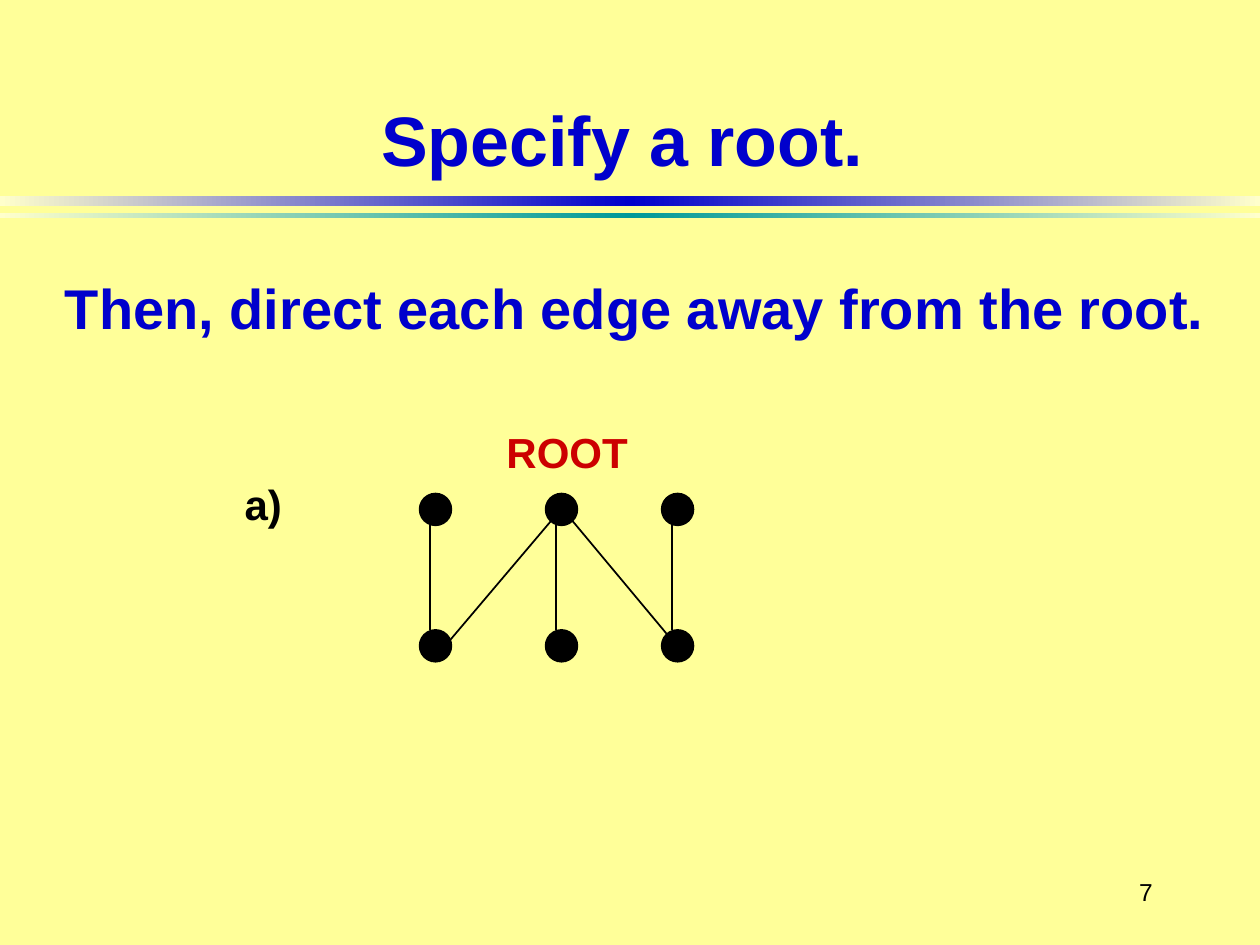
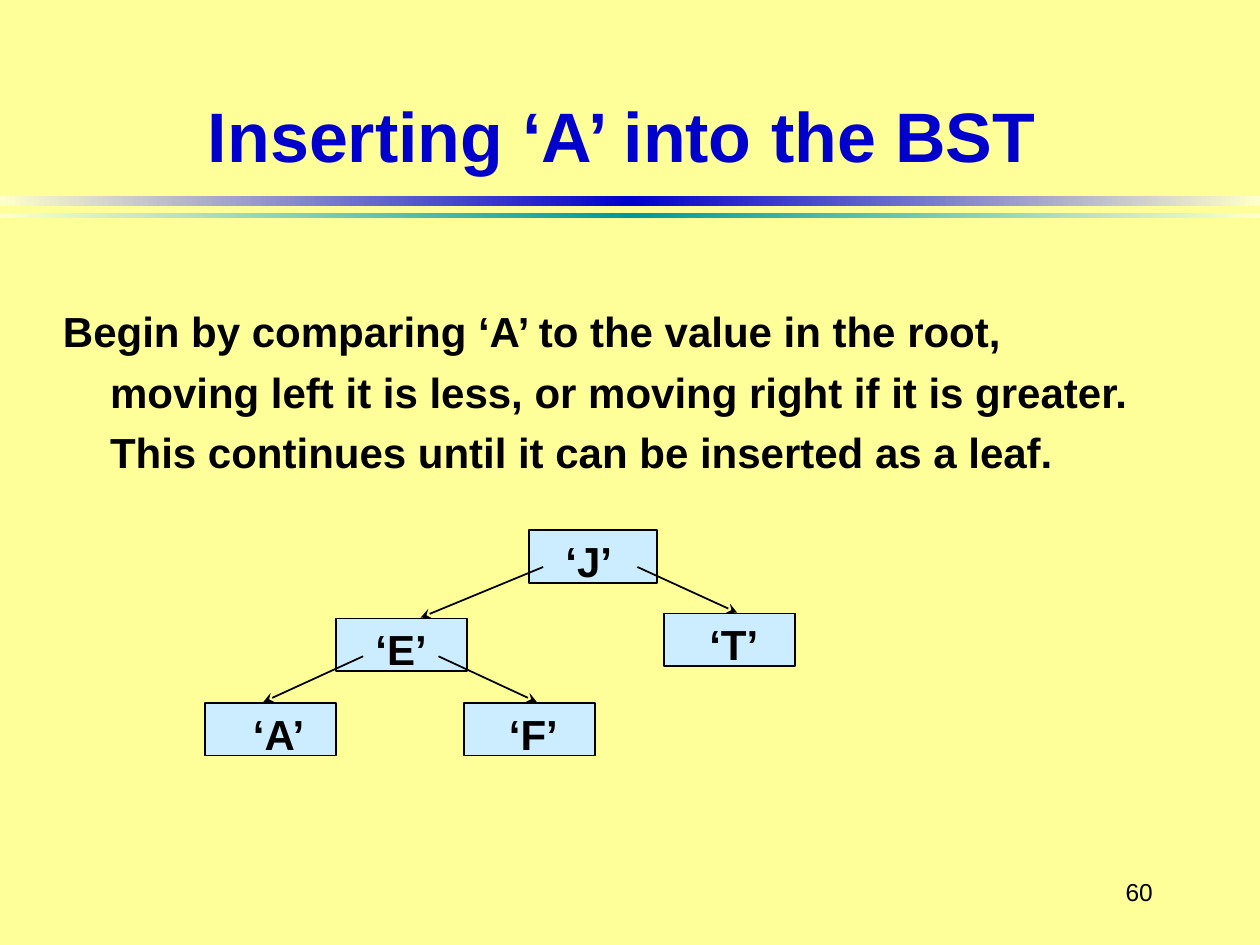
from copy import deepcopy

from lxml.etree import SubElement
from pptx import Presentation
from pptx.dml.color import RGBColor
from pptx.enum.shapes import MSO_CONNECTOR, MSO_SHAPE
from pptx.enum.text import MSO_ANCHOR, PP_ALIGN
from pptx.oxml.ns import qn
from pptx.util import Cm, Pt

YELLOW = RGBColor(0xFF, 0xFF, 0x99)
CREAM = RGBColor(0xFF, 0xFF, 0xCC)
BLUE = RGBColor(0x00, 0x00, 0xCC)
TEAL = RGBColor(0x00, 0x99, 0x99)
PALE_BLUE = RGBColor(0xCC, 0xEC, 0xFF)
RED = RGBColor(0xCC, 0x00, 0x00)
BLACK = RGBColor(0x00, 0x00, 0x00)

WIDTH, HEIGHT = 25.4, 19.05
BANDS = [(3.96, 0.2, BLUE), (4.29, 0.1, TEAL)]

HEADING = {"alignment": PP_ALIGN.CENTER}
BOTTOM = {"word_wrap": True, "vertical_anchor": MSO_ANCHOR.BOTTOM}
STYLES = {
    "title": {
        "frame": BOTTOM,
        "para": HEADING,
        "font": {"size": Pt(40), "bold": True},
        "color": BLUE,
    },
    "statement": {
        "frame": BOTTOM,
        "para": HEADING,
        "font": {"size": Pt(32), "bold": True},
        "color": BLUE,
    },
    "body": {
        "frame": {"word_wrap": True},
        "para": {"line_spacing": 1.2},
        "font": {"size": Pt(24), "bold": True},
        "color": BLACK,
    },
    "label": {
        "frame": {"word_wrap": False},
        "para": {"alignment": PP_ALIGN.LEFT},
        "font": {"size": Pt(24), "bold": True},
        "color": BLACK,
    },
    "number": {
        "frame": {"word_wrap": True, "vertical_anchor": MSO_ANCHOR.MIDDLE},
        "para": {"alignment": PP_ALIGN.RIGHT},
        "font": {"size": Pt(14), "bold": False},
        "color": BLACK,
    },
}


def assign(target, values):
    for name, value in values.items():
        setattr(target, name, value)


class Lecture:
    """Holds the deck style and draws elements on the current slide."""

    def __init__(self):
        self.deck = Presentation()
        assign(self.deck, {"slide_width": Cm(WIDTH), "slide_height": Cm(HEIGHT)})
        self.page = None

    def start_page(self, title, title_place, number):
        self.page = self.deck.slides.add_slide(self.deck.slide_layouts[6])
        background = self.page.background.fill
        background.solid()
        background.fore_color.rgb = YELLOW
        for top, height, color in BANDS:
            self.band(top, height, color)
        self.text(number, (21.79, 17.35, 1.7, 1.27), "number")
        self.text(title, title_place, "title")

    def shape(self, kind, left, top, width, height):
        shape = self.page.shapes.add_shape(
            kind, Cm(left), Cm(top), Cm(width), Cm(height))
        shape.shadow.inherit = False
        return shape

    def band(self, top, height, color):
        band = self.shape(MSO_SHAPE.RECTANGLE, 0, top, WIDTH, height)
        band.line.fill.background()
        band.fill.gradient()
        band.fill.gradient_angle = 0
        stop_list = next(band.element.iter(qn("a:gsLst")))
        stop_list.append(deepcopy(stop_list[0]))
        stops = zip(band.fill.gradient_stops, (0, 0.5, 1), (CREAM, color, CREAM))
        for stop, position, stop_color in stops:
            stop.position = position
            stop.color.rgb = stop_color

    def solid(self, kind, place, fill):
        shape = self.shape(kind, *place)
        shape.fill.solid()
        shape.fill.fore_color.rgb = fill
        shape.line.color.rgb = BLACK
        shape.line.width = Pt(1)

    def text(self, words, place, style, color=None):
        look = STYLES[style]
        box = self.page.shapes.add_textbox(*map(Cm, place))
        assign(box.text_frame, look["frame"])
        para = box.text_frame.paragraphs[0]
        assign(para, look["para"])
        span = para.add_run()
        span.text = words
        assign(span.font, {"name": "Arial", **look["font"]})
        span.font.color.rgb = color or look["color"]
        return para

    def hanging_text(self, words, place, indent):
        para = self.text(words, place, "body")
        properties = para._p.get_or_add_pPr()
        properties.set("marL", str(Cm(indent)))
        properties.set("indent", str(-Cm(indent)))

    def edge(self, start, end, arrow=False):
        edge = self.page.shapes.add_connector(
            MSO_CONNECTOR.STRAIGHT, *map(Cm, (*start, *end)))
        edge.line.color.rgb = BLACK
        edge.line.width = Pt(1)
        if arrow:
            SubElement(edge.line._get_or_add_ln(), qn("a:tailEnd"), type="stealth")
        SubElement(edge.element.spPr, qn("a:effectLst"))


def draw_root_page(lecture):
    lecture.start_page("Specify a root.", (1.65, 0.58, 21.79, 3.18), "7")
    upper, lower, dot = 9.95, 12.7, 0.64
    for column in (8.46, 11, 13.34):
        for row in (upper, lower):
            lecture.solid(MSO_SHAPE.OVAL, (column, row, dot, dot), BLACK)
        lecture.edge((column + 0.21, upper + dot), (column + 0.21, lower))
    lecture.edge((11.43, 10.37), (13.55, 12.91))
    lecture.edge((11.22, 10.37), (8.89, 13.12))
    lecture.text("a)", (4.68, 9.53, 1.26, 1.27), "label")
    lecture.text("ROOT", (9.96, 8.47, 2.95, 1.27), "label", RED)
    lecture.text("Then, direct each edge away from the root.",
                 (0.64, 4.66, 24.33, 2.33), "statement")


def draw_tree_page(lecture):
    lecture.start_page("Inserting ‘A’ into the BST", (0.89, 0.94, 23.29, 2.74), "60")
    lecture.hanging_text(
        "Begin by comparing ‘A’ to the value in the root, moving left it is less, "
        "or moving right if it is greater. This continues until it can be "
        "inserted as a leaf.", (1.02, 5.84, 22.56, 3.5), 0.95)
    nodes = [
        ("‘J’", 10.67, 10.69, 2.57, 11.15, 1.45),
        ("‘E’", 6.78, 12.47, 2.64, 7.32, 1.55),
        ("‘T’", 13.39, 12.37, 2.64, 14.05, 1.5),
        ("‘A’", 4.14, 14.17, 2.64, 4.85, 1.6),
        ("‘F’", 9.35, 14.17, 2.64, 10.01, 1.5),
    ]
    branches = [
        ((10.95, 11.43), (8.48, 12.45)),
        ((12.85, 11.43), (14.86, 12.35)),
        ((7.32, 13.23), (5.31, 14.15)),
        ((8.84, 13.23), (10.82, 14.15)),
    ]
    for value, left, top, width, label_left, label_width in nodes:
        lecture.solid(MSO_SHAPE.RECTANGLE, (left, top, width, 1.06), PALE_BLUE)
        lecture.text(value, (label_left, top - 0.02, label_width, 1.27), "label")
    for parent, child in branches:
        lecture.edge(parent, child, arrow=True)


def main():
    lecture = Lecture()
    draw_root_page(lecture)
    draw_tree_page(lecture)
    lecture.deck.save("out.pptx")


if __name__ == "__main__":
    main()
